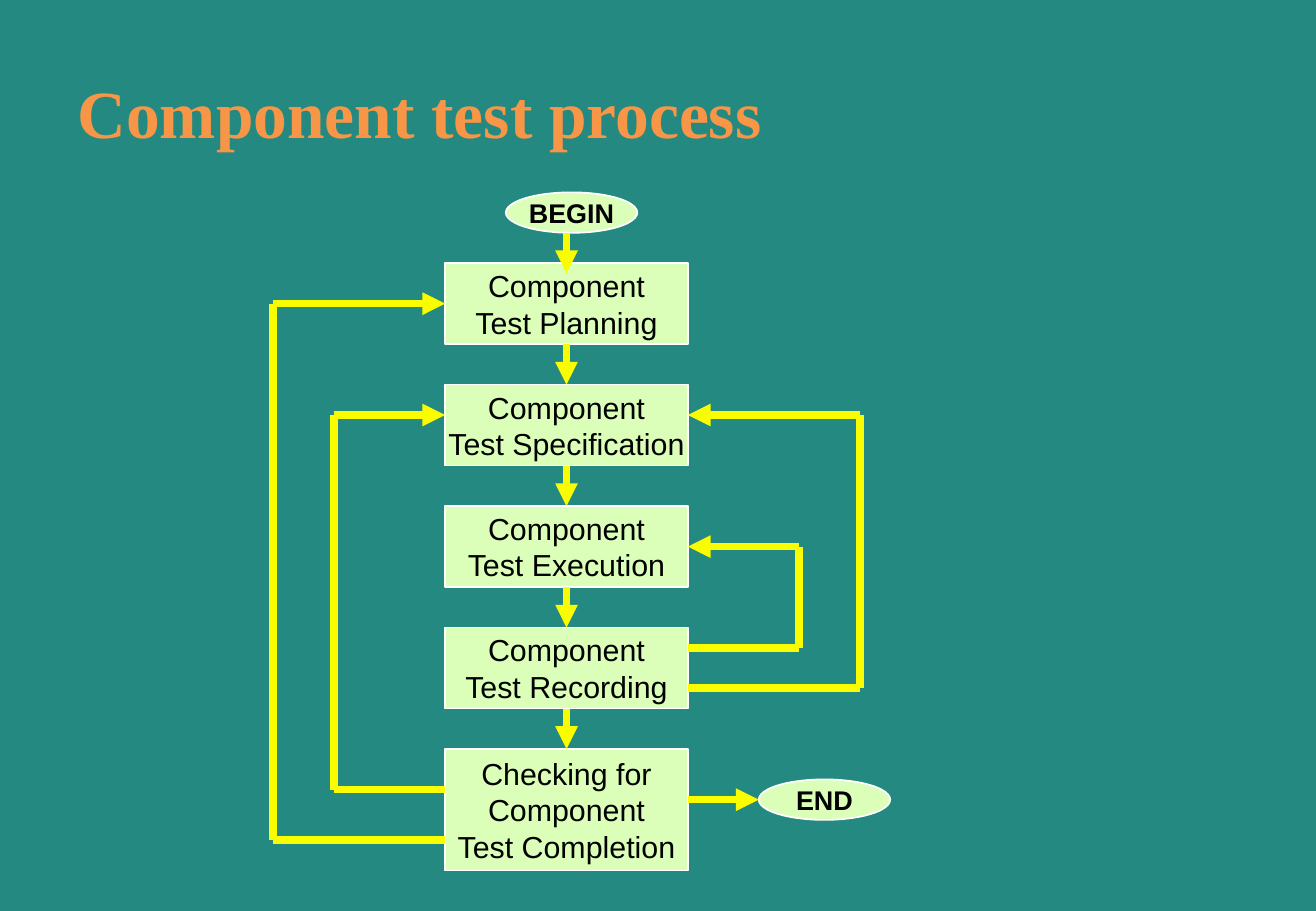
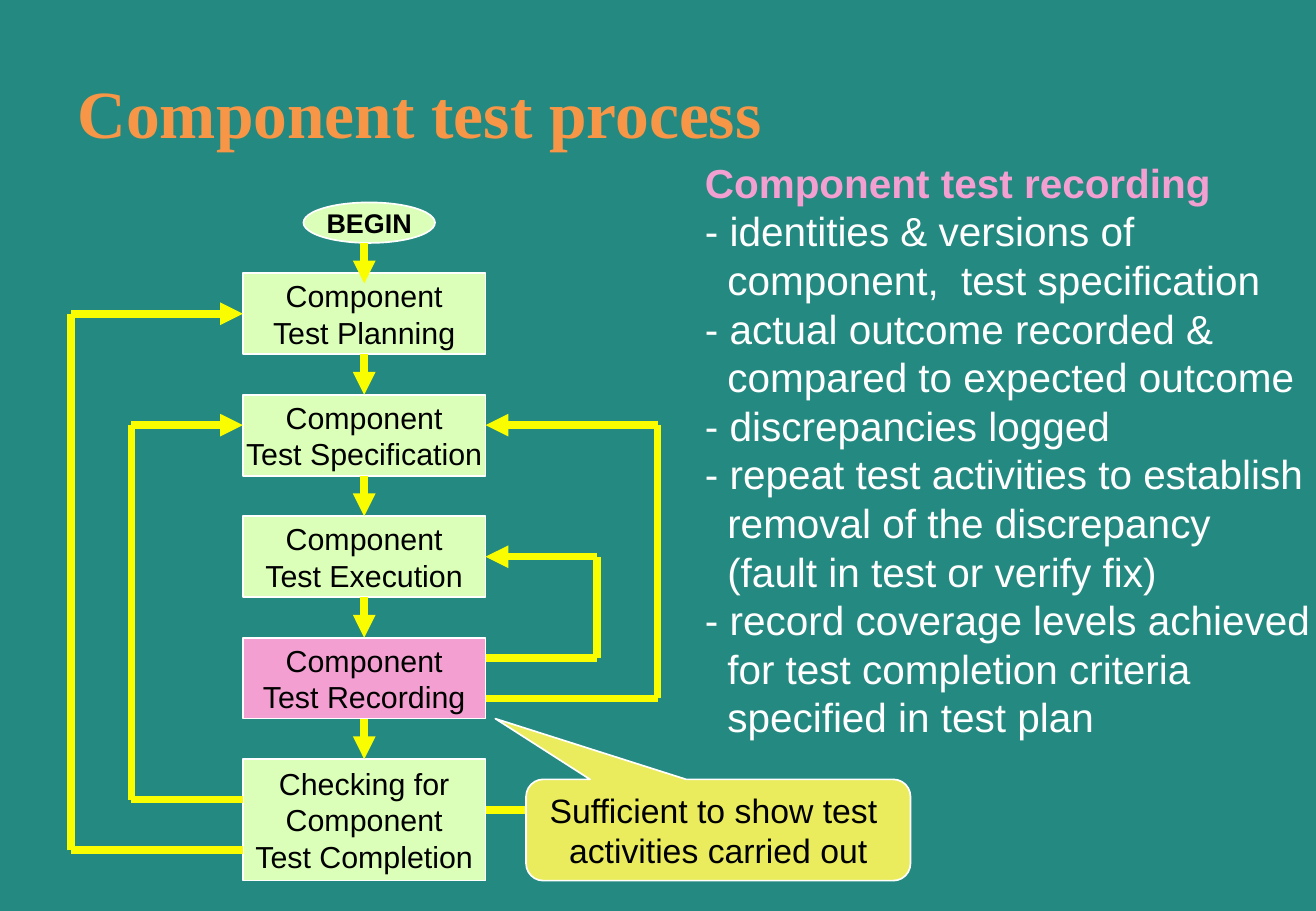
from pptx import Presentation
from pptx.dml.color import RGBColor
from pptx.enum.shapes import MSO_CONNECTOR, MSO_SHAPE
from pptx.enum.text import MSO_ANCHOR, PP_ALIGN
from pptx.oxml.ns import qn
from pptx.util import Pt
from lxml import etree

RECTANGLE = MSO_SHAPE.RECTANGLE
OVAL = MSO_SHAPE.OVAL
CALLOUT = MSO_SHAPE.ROUNDED_RECTANGULAR_CALLOUT
STRAIGHT = MSO_CONNECTOR.STRAIGHT
MIDDLE = MSO_ANCHOR.MIDDLE
CENTER = PP_ALIGN.CENTER

TEAL = RGBColor(0x24, 0x89, 0x80)
ORANGE = RGBColor(0xF7, 0x96, 0x46)
PALE_GREEN = RGBColor(0xDB, 0xFF, 0xB8)
PINK = RGBColor(0xF3, 0x9F, 0xD1)
SAND = RGBColor(0xEA, 0xEC, 0x5E)
YELLOW = RGBColor(0xFA, 0xFD, 0x00)
WHITE = RGBColor(0xFF, 0xFF, 0xFF)
BLACK = RGBColor(0x00, 0x00, 0x00)

TOP, LEFT, BOTTOM, RIGHT = range(4)  # connection sites of a rectangle

STEPS = [
    "Component\nTest Planning",
    "Component\nTest Specification",
    "Component\nTest Execution",
    "Component\nTest Recording",
    "Checking for\nComponent\nTest Completion",
]
PLANNING, SPECIFICATION, EXECUTION, RECORDING, CHECKING = range(5)

# Flow chart measures, relative to its top left corner
STEP_LEFT, STEP_WIDTH = 102, 144
STEP_RIGHT = STEP_LEFT + STEP_WIDTH
STEP_TOP, STEP_PITCH, STEP_HEIGHT, LAST_HEIGHT = 42, 72, 48, 72
TERMINAL_WIDTH, TERMINAL_HEIGHT = 78, 24

# Feedback loops: side of the steps, far x, start y, end y, target joined at its middle
LOOPS = [
    (LEFT, 0, 384, 66, PLANNING),
    (LEFT, 36, 354, 132, None),
    (RIGHT, 312, 270, 210, EXECUTION),
    (RIGHT, 348, 294, 132, None),
]

RECORDING_NOTES = [
    "- identities & versions of\vcomponent,  test specification",
    "- actual outcome recorded &\vcompared to expected outcome",
    "- discrepancies logged",
    "- repeat test activities to establish\vremoval of the discrepancy\v"
    "(fault in test or verify fix)",
    "- record coverage levels achieved\vfor test completion criteria\v"
    "specified in test plan",
]


def style_paragraph(paragraph, size, color, bold=False, name="Arial"):
    font = paragraph.font
    font.name, font.size, font.bold = name, Pt(size), bold
    font.color.rgb = color


def add_box(slide, kind, left, top, width, height, text, fill, size=18, bold=False):
    """Filled shape with a thin white outline and centred black text."""
    shape = slide.shapes.add_shape(kind, Pt(left), Pt(top), Pt(width), Pt(height))
    shape.shadow.inherit = False
    shape.fill.solid()
    shape.fill.fore_color.rgb = fill
    shape.line.color.rgb = WHITE
    shape.line.width = Pt(1)
    frame = shape.text_frame
    frame.text = text
    frame.word_wrap = False
    frame.vertical_anchor = MIDDLE
    for paragraph in frame.paragraphs:
        paragraph.alignment = CENTER
        style_paragraph(paragraph, size, BLACK, bold)
    return shape


def add_line(slide, start, end, arrow=False):
    connector = slide.shapes.add_connector(STRAIGHT, *map(Pt, start + end))
    connector.line.color.rgb = YELLOW
    connector.line.width = Pt(4.5)
    if arrow:
        etree.SubElement(connector.line._get_or_add_ln(), qn("a:tailEnd"), type="triangle")
    etree.SubElement(connector._element.spPr, qn("a:effectLst"))
    return connector


def add_title(slide, text, left=39, top=42, width=663, height=48):
    frame = slide.shapes.add_textbox(Pt(left), Pt(top), Pt(width), Pt(height)).text_frame
    frame.word_wrap = True
    frame.vertical_anchor = MIDDLE
    frame.text = text
    style_paragraph(frame.paragraphs[0], 40, ORANGE, True, "Times New Roman")


def add_flow_chart(slide, left, top, highlighted=None):
    def place(x, y):
        return left + x, top + y

    # Steps
    steps = []
    for index, text in enumerate(STEPS):
        height = LAST_HEIGHT if index == CHECKING else STEP_HEIGHT
        fill = PINK if index == highlighted else PALE_GREEN
        corner = place(STEP_LEFT, STEP_TOP + index * STEP_PITCH)
        steps.append(add_box(slide, RECTANGLE, *corner, STEP_WIDTH, height, text, fill))

    # Arrows from each step to the next
    center = STEP_LEFT + STEP_WIDTH / 2
    for index, (upper, lower) in enumerate(zip(steps, steps[1:])):
        y = STEP_TOP + index * STEP_PITCH + STEP_HEIGHT
        arrow = add_line(slide, place(center, y),
                         place(center, STEP_TOP + (index + 1) * STEP_PITCH), True)
        arrow.begin_connect(upper, BOTTOM)
        arrow.end_connect(lower, TOP)

    # Feedback loops
    for side, far_x, start_y, end_y, target in LOOPS:
        near_x = STEP_LEFT if side == LEFT else STEP_RIGHT
        corners = [place(near_x, start_y), place(far_x, start_y),
                   place(far_x, end_y), place(near_x, end_y)]
        add_line(slide, corners[0], corners[1])
        add_line(slide, corners[1], corners[2])
        arrow = add_line(slide, corners[2], corners[3], True)
        if target is not None:
            arrow.end_connect(steps[target], side)

    # Begin and end
    for text, x, y in (("BEGIN", 138, 0), ("END", 288, 348)):
        add_box(slide, OVAL, *place(x, y), TERMINAL_WIDTH, TERMINAL_HEIGHT,
                text, PALE_GREEN, 16, True)
    add_line(slide, place(center, TERMINAL_HEIGHT), place(center, 48), True)
    add_line(slide, place(STEP_RIGHT, 360), place(288, 360), True)


def add_notes_panel(slide, heading, items, left, top, width, height):
    frame = slide.shapes.add_textbox(Pt(left), Pt(top), Pt(width), Pt(height)).text_frame
    frame.word_wrap = True
    frame.margin_right = 0
    frame.text = heading
    style_paragraph(frame.paragraphs[0], 24, PINK, True)
    for item in items:
        paragraph = frame.add_paragraph()
        paragraph.text = item
        # Hanging indent for the lines after the dash
        properties = paragraph._p.get_or_add_pPr()
        properties.set("marL", str(Pt(13.3)))
        properties.set("indent", str(-Pt(13.3)))
        style_paragraph(paragraph, 24, WHITE)


def add_callout(slide, text, left, top, width, height):
    callout = add_box(slide, CALLOUT, left, top, width, height, text, SAND, 20)
    for index, value in enumerate((-0.58, -1.1, 0.17)):
        callout.adjustments[index] = value


def add_process_slide(presentation, left, top, highlighted=None):
    slide = presentation.slides.add_slide(presentation.slide_layouts[6])
    add_title(slide, "Component test process")
    add_flow_chart(slide, left, top, highlighted)
    return slide


def main():
    presentation = Presentation()
    presentation.slide_width, presentation.slide_height = Pt(780.48), Pt(540)
    background = presentation.slide_master.background.fill
    background.solid()
    background.fore_color.rgb = TEAL

    # Overview
    add_process_slide(presentation, 162, 114)

    # Recording step in detail
    slide = add_process_slide(presentation, 42, 120, RECORDING)
    add_notes_panel(slide, "Component test recording", RECORDING_NOTES, 411, 90, 369, 353)
    add_callout(slide, "Sufficient to show test \nactivities carried out", 312, 462, 228, 60)

    presentation.save("out.pptx")


if __name__ == "__main__":
    main()
